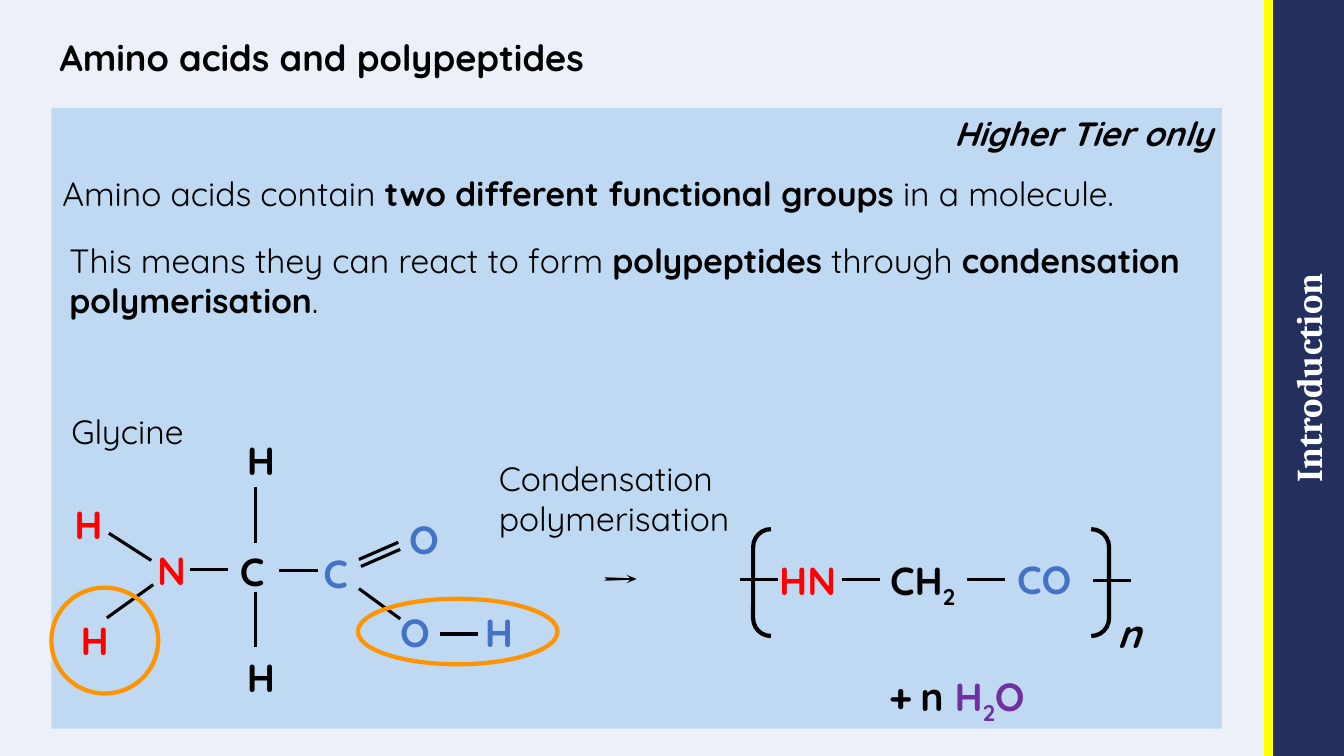
"""Build the slide on amino acids and polypeptides."""
from dataclasses import dataclass

from lxml import etree
from pptx import Presentation
from pptx.dml.color import RGBColor
from pptx.enum.shapes import MSO_CONNECTOR, MSO_SHAPE
from pptx.enum.text import MSO_ANCHOR, PP_ALIGN
from pptx.oxml.ns import qn
from pptx.shapes.autoshape import Shape
from pptx.slide import Slide
from pptx.text.text import TextFrame
from pptx.util import Inches, Pt

RECTANGLE, OVAL, BRACKETS = MSO_SHAPE.RECTANGLE, MSO_SHAPE.OVAL, MSO_SHAPE.DOUBLE_BRACKET
STRAIGHT = MSO_CONNECTOR.STRAIGHT
LEFT, CENTER, RIGHT = PP_ALIGN.LEFT, PP_ALIGN.CENTER, PP_ALIGN.RIGHT
TOP, MIDDLE, BOTTOM = MSO_ANCHOR.TOP, MSO_ANCHOR.MIDDLE, MSO_ANCHOR.BOTTOM

BLACK = RGBColor(0x00, 0x00, 0x00)
WHITE = RGBColor(0xFF, 0xFF, 0xFF)
PALE = RGBColor(0xEC, 0xF1, 0xF9)
NAVY = RGBColor(0x23, 0x2F, 0x5D)
YELLOW = RGBColor(0xFF, 0xFF, 0x00)
SKY = RGBColor(0xBE, 0xD9, 0xF1)
RED = RGBColor(0xFF, 0x00, 0x00)
BLUE = RGBColor(0x44, 0x72, 0xC4)
PURPLE = RGBColor(0x70, 0x30, 0xA0)
ORANGE = RGBColor(0xFF, 0x93, 0x00)

BODY_FONT, SERIF_FONT = "Quicksand", "Cambria"
Box = tuple[float, float, float, float]


@dataclass(frozen=True)
class Piece:
    text: str
    size: float = 24
    bold: bool = False
    italic: bool = False
    color: RGBColor = BLACK
    font: str = BODY_FONT
    subscript: bool = False


@dataclass(frozen=True)
class Label:
    box: Box
    pieces: tuple[Piece, ...]
    wrap: bool = True


@dataclass(frozen=True)
class Bond:
    start: tuple[float, float]
    end: tuple[float, float]
    color: RGBColor = BLACK
    width: float = 2.25


@dataclass(frozen=True)
class Outline:
    kind: MSO_SHAPE
    box: Box
    color: RGBColor


def atom(text: str, color: RGBColor = BLACK, **style: bool) -> Piece:
    """Return a piece of a chemical formula."""
    return Piece(text, 28, True, color=color, **style)


def flat_bond(left: float, y: float) -> Bond:
    """Return a horizontal bond of the standard length."""
    return Bond((left, y), (left + 0.38, y))


def write(frame: TextFrame, pieces: tuple[Piece, ...], align: PP_ALIGN = LEFT,
          anchor: MSO_ANCHOR = TOP, wrap: bool = True) -> None:
    """Fill a text frame with one paragraph of formatted pieces."""
    frame.word_wrap = wrap
    frame.vertical_anchor = anchor
    paragraph = frame.paragraphs[0]
    paragraph.alignment = align
    for piece in pieces:
        run = paragraph.add_run()
        run.text = piece.text
        formats = {"name": piece.font, "size": Pt(piece.size),
                   "bold": piece.bold, "italic": piece.italic}
        for attribute, value in formats.items():
            setattr(run.font, attribute, value)
        run.font.color.rgb = piece.color
        if piece.subscript:
            run._r.get_or_add_rPr().set("baseline", "-25000")


def clear_margins(frame: TextFrame) -> None:
    """Remove the inner margins of a text frame."""
    for side in ("left", "top", "right", "bottom"):
        setattr(frame, f"margin_{side}", 0)


def add_panel(slide: Slide, box: Box, color: RGBColor) -> Shape:
    """Add a filled rectangle without a border."""
    panel = slide.shapes.add_shape(RECTANGLE, *map(Inches, box))
    panel.shadow.inherit = False
    panel.fill.solid()
    panel.fill.fore_color.rgb = color
    panel.line.fill.background()
    return panel


def add_label(slide: Slide, label: Label) -> None:
    """Add a text box."""
    text_box = slide.shapes.add_textbox(*map(Inches, label.box))
    write(text_box.text_frame, label.pieces, wrap=label.wrap)


def add_bond(slide: Slide, bond: Bond) -> None:
    """Add a straight line."""
    line = slide.shapes.add_connector(STRAIGHT, *map(Inches, bond.start + bond.end))
    line.line.color.rgb = bond.color
    line.line.width = Pt(bond.width)
    etree.SubElement(line._element.spPr, qn("a:effectLst"))


def add_outline(slide: Slide, outline: Outline) -> None:
    """Add an unfilled shape."""
    shape = slide.shapes.add_shape(outline.kind, *map(Inches, outline.box))
    shape.shadow.inherit = False
    shape.fill.background()
    shape.line.color.rgb = outline.color
    shape.line.width = Pt(3)


LABELS = (
    Label((0.52, 1.67, 11.38, 0.5), (
        Piece("Amino acids contain "),
        Piece("two different functional groups", bold=True),
        Piece(" in a molecule."))),
    Label((0.59, 2.33, 11.38, 0.91), (
        Piece("This means they can react to form "),
        Piece("polypeptides", bold=True),
        Piece(" through "),
        Piece("condensation polymerisation", bold=True),
        Piece("."))),
    Label((0.61, 4.03, 1.55, 0.54), (Piece("Glycine"),)),
    Label((2.35, 4.28, 0.66, 0.58), (atom("H"),)),
    Label((2.28, 5.38, 0.6, 0.59), (atom("C"),)),
    Label((2.35, 6.43, 0.51, 0.66), (atom("H"),)),
    Label((0.64, 4.91, 0.58, 0.66), (atom("H", RED),)),
    Label((1.46, 5.37, 0.52, 0.66), (atom("N", RED),)),
    Label((0.7, 6.07, 0.59, 0.66), (atom("H", RED),)),
    Label((3.11, 5.4, 0.52, 0.66), (atom("C", BLUE),)),
    Label((3.96, 5.06, 0.58, 0.66), (atom("O", BLUE),)),
    Label((3.87, 5.99, 0.58, 0.66), (atom("O", BLUE),)),
    Label((4.71, 5.99, 0.58, 0.66), (atom("H", BLUE),)),
    Label((4.85, 4.49, 3.15, 0.54), (Piece("Condensation polymerisation"),)),
    Label((5.86, 5.39, 0.7, 0.71), (Piece("→", 36, True, font=SERIF_FONT),), wrap=False),
    Label((7.63, 5.47, 0.81, 0.66), (atom("HN", RED),)),
    Label((8.73, 5.47, 1.04, 0.59), (atom("CH"), atom("2", subscript=True))),
    Label((9.99, 5.46, 0.89, 0.66), (atom("CO", BLUE),)),
    Label((10.98, 6, 0.67, 0.66), (atom("n", italic=True),)),
    Label((8.72, 6.62, 0.57, 0.66), (atom("+"),)),
    Label((9.03, 6.62, 2.38, 0.66), (
        atom("n"), atom(" H", PURPLE), atom("2", PURPLE, subscript=True),
        atom("O", PURPLE))),
)

BONDS = (
    flat_bond(1.88, 5.65), flat_bond(2.77, 5.66), flat_bond(4.36, 6.29),
    flat_bond(7.34, 5.75), flat_bond(8.35, 5.75), flat_bond(9.59, 5.75),
    flat_bond(10.84, 5.76),
    Bond((2.53, 4.83), (2.53, 5.39)), Bond((2.53, 5.87), (2.53, 6.42)),
    Bond((1.5, 5.56), (1.08, 5.29)), Bond((1.06, 6.13), (1.52, 5.8)),
    Bond((3.56, 5.55), (3.95, 5.38)), Bond((3.58, 5.62), (3.97, 5.45)),
    Bond((3.56, 5.84), (3.97, 6.14)),
)

OUTLINES = (
    Outline(BRACKETS, (7.47, 5.25, 3.53, 1.06), BLACK),
    Outline(OVAL, (0.51, 5.83, 1.06, 1.05), ORANGE),
    Outline(OVAL, (3.55, 5.94, 1.98, 0.65), ORANGE),
)


def main() -> None:
    """Draw the slide and save it."""
    deck = Presentation()
    deck.slide_width, deck.slide_height = Inches(13.33), Inches(7.5)
    slide = deck.slides.add_slide(deck.slide_layouts[5])
    slide.background.fill.solid()
    slide.background.fill.fore_color.rgb = PALE

    title = slide.shapes.title
    title.left, title.top, title.width, title.height = map(Inches, (0.59, 0, 11.61, 0.79))
    clear_margins(title.text_frame)
    write(title.text_frame, (Piece("Amino acids and polypeptides", 26, True),), anchor=BOTTOM)
    title.text_frame.paragraphs[0].line_spacing = 0.9

    sidebar = add_panel(slide, (9.22, 3.39, 7.5, 0.72), NAVY)
    sidebar.rotation = 270
    clear_margins(sidebar.text_frame)
    write(sidebar.text_frame, (Piece("Introduction", 26, True, color=WHITE, font=SERIF_FONT),),
          CENTER, MIDDLE)
    add_bond(slide, Bond((12.58, 0), (12.58, 7.5), YELLOW, 6))

    content = add_panel(slide, (0.51, 1.07, 11.61, 6.16), SKY)
    write(content.text_frame, (Piece("Higher Tier only", bold=True, italic=True),), RIGHT)

    for label in LABELS:
        add_label(slide, label)
    for bond in BONDS:
        add_bond(slide, bond)
    for outline in OUTLINES:
        add_outline(slide, outline)
    deck.save("out.pptx")


if __name__ == "__main__":
    main()
